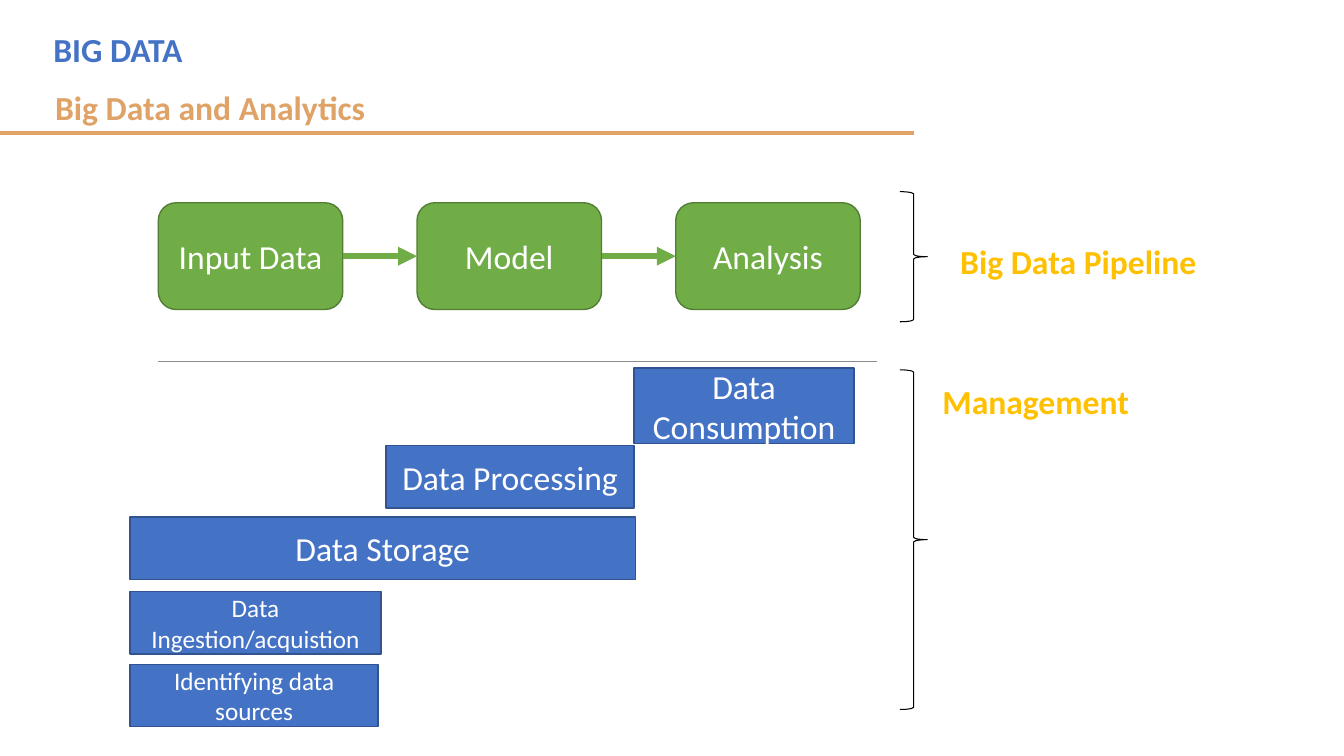
from dataclasses import dataclass
from itertools import pairwise

from lxml import etree
from pptx import Presentation
from pptx import util as u
from pptx.dml.color import RGBColor
from pptx.enum import shapes, text
from pptx.oxml import ns

BLUE = RGBColor(0x44, 0x72, 0xC4)
DARK_BLUE = RGBColor(0x31, 0x53, 0x8F)
GREEN = RGBColor(0x70, 0xAD, 0x47)
DARK_GREEN = RGBColor(0x51, 0x7E, 0x33)
TAN = RGBColor(0xDF, 0xA2, 0x67)
GOLD = RGBColor(0xFF, 0xC0, 0x00)
GRAY = RGBColor(0x8C, 0x8C, 0x8C)
WHITE = RGBColor(0xFF, 0xFF, 0xFF)
BLACK = RGBColor(0x00, 0x00, 0x00)

STAGE_LEFT, STAGE_TOP, STAGE_PITCH = 3.99, 5.11, 6.52
STAGE_WIDTH, STAGE_HEIGHT = 4.65, 2.69
BRACE_LEFT, BRACE_WIDTH = 22.68, 0.69
LABEL_HEIGHT = 1.27


@dataclass(frozen=True)
class Block:
    label: str
    left: float
    top: float
    width: float
    height: float = 1.57
    size: int = 24


@dataclass(frozen=True)
class Label:
    label: str
    left: float
    top: float
    width: float
    color: RGBColor


@dataclass(frozen=True)
class Brace:
    top: float
    height: float


STAGES = [
    Block(name, STAGE_LEFT + i * STAGE_PITCH, STAGE_TOP, STAGE_WIDTH, STAGE_HEIGHT)
    for i, name in enumerate(("Input Data", "Model", "Analysis"))
]
LAYERS = [
    Block("Identifying data sources", 3.28, 16.74, 6.25, size=18),
    Block("Data Ingestion/acquistion", 3.28, 14.91, 6.32, size=18),
    Block("Data Storage", 3.28, 13.03, 12.73),
    Block("Data Processing", 9.73, 11.23, 6.25),
    Block("Data Consumption", 15.98, 9.27, 5.54, 1.91),
]
LABELS = [
    Label("Big Data and Analytics", 1.14, 2.06, 22.23, TAN),
    Label("Big Data Pipeline", 23.95, 5.94, 6.76, GOLD),
    Label("Management", 23.5, 9.47, 6.6, GOLD),
]
BRACES = [Brace(4.83, 3.28), Brace(9.32, 8.56)]


def write(sp, content: str, *, color: RGBColor, size: int = 24, bold: bool = False,
          align=text.PP_ALIGN.LEFT, anchor=text.MSO_ANCHOR.TOP) -> None:
    tf = sp.text_frame
    tf.word_wrap = True
    tf.auto_size = text.MSO_AUTO_SIZE.NONE
    tf.vertical_anchor = anchor
    p = tf.paragraphs[0]
    p.alignment = align
    r = p.add_run()
    r.text = content
    r.font.name = "Calibri"
    r.font.size = u.Pt(size)
    r.font.bold = bold
    r.font.color.rgb = color


def add_block(s, kind, block: Block, fill: RGBColor, line: RGBColor):
    sp = s.shapes.add_shape(kind, u.Cm(block.left), u.Cm(block.top),
                            u.Cm(block.width), u.Cm(block.height))
    sp.shadow.inherit = False
    sp.fill.solid()
    sp.fill.fore_color.rgb = fill
    sp.line.color.rgb = line
    sp.line.width = u.Pt(1)
    write(sp, block.label, color=WHITE, size=block.size,
          align=text.PP_ALIGN.CENTER, anchor=text.MSO_ANCHOR.MIDDLE)
    return sp


def add_label(s, label: Label) -> None:
    sp = s.shapes.add_textbox(u.Cm(label.left), u.Cm(label.top),
                              u.Cm(label.width), u.Cm(LABEL_HEIGHT))
    write(sp, label.label, color=label.color, bold=True)


def add_brace(s, brace: Brace) -> None:
    sp = s.shapes.add_shape(shapes.MSO_SHAPE.RIGHT_BRACE, u.Cm(BRACE_LEFT),
                            u.Cm(brace.top), u.Cm(BRACE_WIDTH), u.Cm(brace.height))
    sp.shadow.inherit = False
    sp.fill.background()
    sp.line.color.rgb = BLACK
    sp.line.width = u.Pt(0.75)


def add_line(s, left: float, right: float, y: float, color: RGBColor, width: float):
    line = s.shapes.add_connector(shapes.MSO_CONNECTOR.STRAIGHT, u.Cm(left), u.Cm(y),
                                  u.Cm(right), u.Cm(y))
    line.line.color.rgb = color
    line.line.width = u.Pt(width)
    etree.SubElement(line._element.spPr, ns.qn("a:effectLst"))
    return line


def add_arrow(s, source, target) -> None:
    y = STAGE_TOP + STAGE_HEIGHT / 2
    arrow = add_line(s, (source.left + source.width) / u.Cm(1),
                     target.left / u.Cm(1), y, GREEN, 4.5)
    arrow.begin_connect(source, 3)
    arrow.end_connect(target, 1)
    etree.SubElement(arrow.line._get_or_add_ln(), ns.qn("a:tailEnd"), type="triangle")


def main() -> None:
    prs = Presentation()
    prs.slide_width, prs.slide_height = u.Cm(33.87), u.Cm(19.05)
    s = prs.slides.add_slide(prs.slide_layouts[5])

    title = s.shapes.title
    title.left, title.top = u.Cm(1.09), u.Cm(0.61)
    title.width, title.height = u.Cm(22.23), u.Cm(LABEL_HEIGHT)
    write(title, "BIG DATA", color=BLUE, bold=True)

    add_line(s, -0.03, 23.04, 3.35, TAN, 3)
    add_line(s, STAGE_LEFT, 22.1, 9.12, GRAY, 0.75)
    stages = [add_block(s, shapes.MSO_SHAPE.ROUNDED_RECTANGLE, stage, GREEN, DARK_GREEN)
              for stage in STAGES]
    for source, target in pairwise(stages):
        add_arrow(s, source, target)
    for layer in LAYERS:
        add_block(s, shapes.MSO_SHAPE.RECTANGLE, layer, BLUE, DARK_BLUE)
    for brace in BRACES:
        add_brace(s, brace)
    for label in LABELS:
        add_label(s, label)

    prs.save("out.pptx")


if __name__ == "__main__":
    main()
